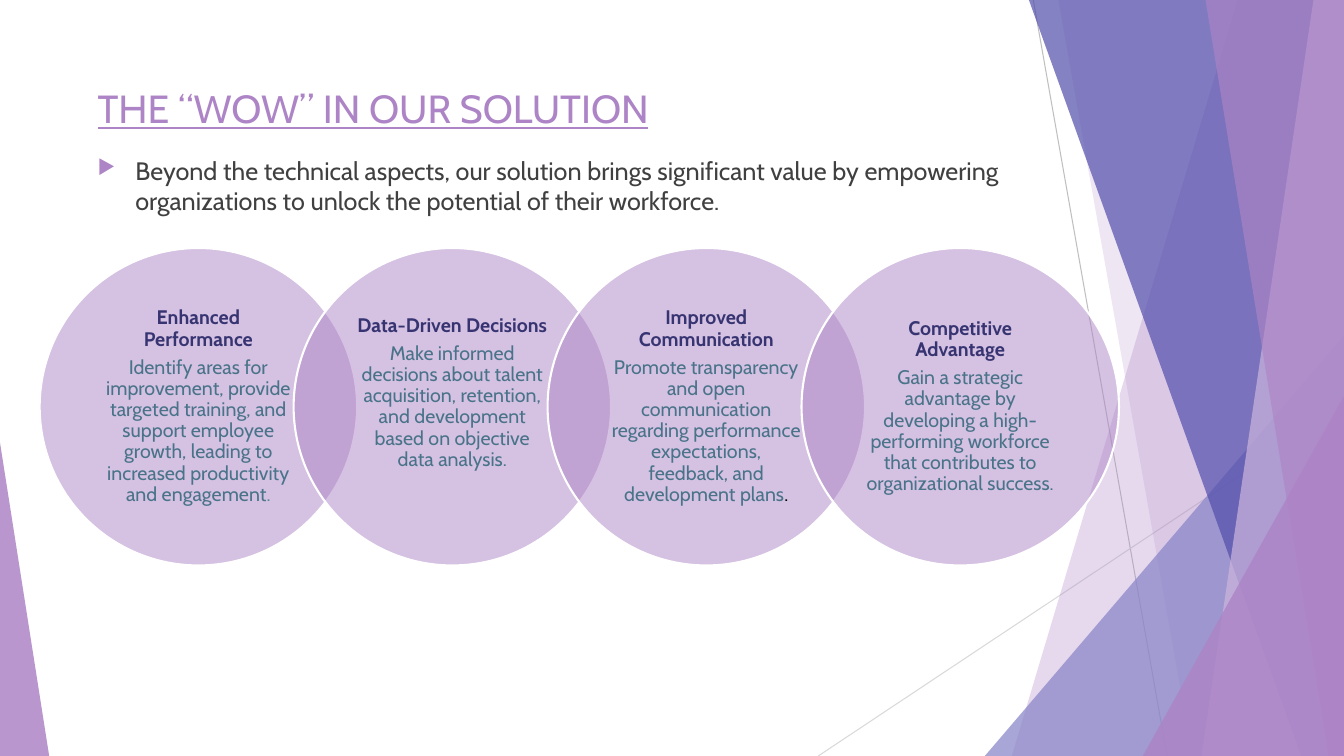
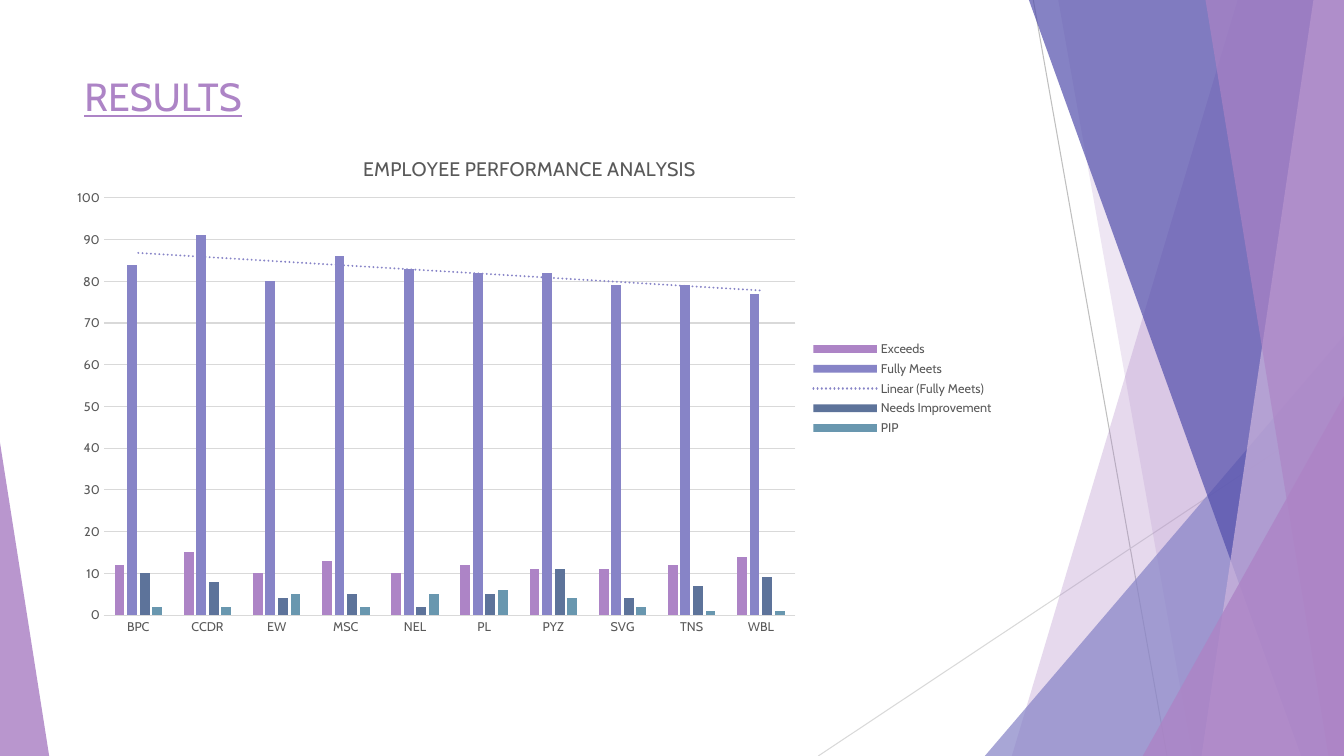
from dataclasses import dataclass

from lxml.etree import SubElement
from pptx import Presentation
from pptx.chart.data import CategoryChartData
from pptx.dml.color import RGBColor
from pptx.enum.chart import XL_CHART_TYPE, XL_LEGEND_POSITION, XL_TICK_MARK
from pptx.enum.shapes import MSO_CONNECTOR, MSO_SHAPE
from pptx.enum.text import MSO_ANCHOR, PP_ALIGN
from pptx.oxml import parse_xml
from pptx.oxml.ns import nsdecls, qn
from pptx.util import Cm, Pt


@dataclass(frozen=True)
class Theme:
    # Colours
    orchid: str = "AD84C6"
    lilac: str = "CEB5DD"
    periwinkle: str = "8784C7"
    indigo: str = "524EAB"
    slate: str = "5D739A"
    teal: str = "6997AF"
    heading: str = "373472"
    detail: str = "497389"
    soft_stop: str = "588894"
    black: str = "000000"
    body: str = "404040"
    label: str = "595959"
    grid: str = "D9D9D9"
    rule: str = "BFBFBF"
    white: str = "FFFFFF"
    # Type
    font: str = "Cabin"
    title_size: int = 28
    body_size: int = 18
    circle_size: int = 14
    chart_title_size: int = 14
    label_size: int = 9


THEME = Theme()
WIDTH, HEIGHT = 33.87, 19.05

# Background lines: start x, start y, end x, end y, colour
RULES = [(26.04, 0, 29.41, HEIGHT, THEME.rule),
         (WIDTH, 10.24, 20.62, HEIGHT, THEME.grid)]

# Background facets, back to front. A band gives its left edge at the top and
# at the bottom; a triangle gives left, top, width and the place of its apex.
FACETS = [("band", (31.19, 25.5), THEME.orchid, 30),
          ("band", (26.67, 30.05), THEME.orchid, 20),
          ("triangle", (24.82, 8.46, 9.05, 1), THEME.periwinkle, 72),
          ("band", (25.93, 32.79), THEME.indigo, 70),
          ("band", (33.1, 30.28), THEME.lilac, 70),
          ("band", (30.38, 33.48), THEME.orchid, 65),
          ("triangle", (28.8, 9.98, 5.07, 1), THEME.orchid, 80),
          ("triangle", (0, 11.15, 1.24, 0), THEME.orchid, 85)]

# Circles: heading, detail, final stop and its colour, bottom inset
BENEFITS = [
    ("Enhanced Performance",
     "Identify areas for improvement, provide targeted training, and support "
     "employee growth, leading to increased productivity and engagement",
     THEME.soft_stop, 0.05),
    ("Data-Driven Decisions",
     "Make informed decisions about talent acquisition, retention, and "
     "development based on objective data analysis",
     THEME.detail, 0.75),
    ("Improved Communication",
     "Promote transparency and open communication regarding performance "
     "expectations, feedback, and development plans",
     THEME.black, 0.05),
    ("Competitive Advantage",
     "Gain a strategic advantage by developing a high-performing workforce "
     "that contributes to organizational success",
     THEME.detail, 0.05),
]

CATEGORIES = ["BPC", "CCDR", "EW", "MSC", "NEL", "PL", "PYZ", "SVG", "TNS", "WBL"]
RATINGS = [
    ("Exceeds", [12, 15, 10, 13, 10, 12, 11, 11, 12, 14], THEME.orchid),
    ("Fully Meets", [84, 91, 80, 86, 83, 82, 82, 79, 79, 77], THEME.periwinkle),
    ("Needs Improvement", [10, 8, 4, 5, 2, 5, 11, 4, 7, 9], THEME.slate),
    ("PIP", [2, 2, 5, 2, 5, 6, 4, 2, 1, 1], THEME.teal),
]
TREND_SERIES = 1


def set_values(target, values):
    for name, value in values.items():
        setattr(target, name, value)


def style_font(font, size, color, **extra):
    set_values(font, {"name": THEME.font, "size": Pt(size), **extra})
    font.color.rgb = RGBColor.from_string(color)


def style_line(line, color, width=0.75):
    line.color.rgb = RGBColor.from_string(color)
    line.width = Pt(width)


def manual_layout(**shares):
    values = "".join(f'<c:{name} val="{value}"/>' for name, value in shares.items())
    target = '<c:layoutTarget val="inner"/>' if "w" in shares else ""
    return parse_xml(
        f'<c:layout {nsdecls("c")}><c:manualLayout>{target}<c:xMode val="edge"/>'
        f'<c:yMode val="edge"/>{values}</c:manualLayout></c:layout>')


class Slides:
    """Holds the deck, its style and the current page."""

    def __init__(self, theme):
        self.theme = theme
        self.deck = Presentation()
        set_values(self.deck, {"slide_width": Cm(WIDTH), "slide_height": Cm(HEIGHT)})
        self.page = None

    def new_page(self, title, left, top):
        self.page = self.deck.slides.add_slide(self.deck.slide_layouts[6])
        self.backdrop()
        para = self.text_box(left, top, 23.88, 1.6)
        self.span(para, title, self.theme.title_size, self.theme.orchid, underline=True)

    def backdrop(self):
        for start_x, start_y, end_x, end_y, color in RULES:
            self.rule(start_x, start_y, end_x, end_y, color)
        for kind, place, color, opacity in FACETS:
            shape = getattr(self, kind)(*place)
            self.paint(shape, color, opacity)

    def rule(self, start_x, start_y, end_x, end_y, color):
        line = self.page.shapes.add_connector(
            MSO_CONNECTOR.STRAIGHT, Cm(start_x), Cm(start_y), Cm(end_x), Cm(end_y))
        style_line(line.line, color)
        SubElement(line._element.spPr, qn("a:effectLst"))

    def band(self, top_x, bottom_x):
        outline = self.page.shapes.build_freeform(Cm(top_x), Cm(0))
        outline.add_line_segments([(Cm(WIDTH), Cm(0)), (Cm(WIDTH), Cm(HEIGHT)),
                                   (Cm(bottom_x), Cm(HEIGHT))])
        return outline.convert_to_shape()

    def triangle(self, left, top, width, apex):
        shape = self.page.shapes.add_shape(
            MSO_SHAPE.ISOSCELES_TRIANGLE, Cm(left), Cm(top), Cm(width), Cm(HEIGHT - top))
        shape.adjustments[0] = apex
        return shape

    def paint(self, shape, color, opacity):
        shape.shadow.inherit = False
        shape.line.fill.background()
        shape.fill.solid()
        shape.fill.fore_color.rgb = RGBColor.from_string(color)
        color_node = shape._element.spPr.find(".//" + qn("a:srgbClr"))
        SubElement(color_node, qn("a:alpha"), val=str(opacity * 1000))

    def text_box(self, left, top, width, height):
        box = self.page.shapes.add_textbox(Cm(left), Cm(top), Cm(width), Cm(height))
        box.text_frame.word_wrap = True
        return box.text_frame.paragraphs[0]

    def span(self, para, text, size, color, **extra):
        span = para.add_run()
        span.text = text
        style_font(span.font, size, color, **extra)

    def bullet(self, text, left, top, width, height):
        para = self.text_box(left, top, width, height)
        self.span(para, text, self.theme.body_size, self.theme.body)
        properties = para._p.get_or_add_pPr()
        properties.set("marL", str(Cm(0.95)))
        properties.set("indent", str(-Cm(0.95)))
        color = SubElement(properties, qn("a:buClr"))
        SubElement(color, qn("a:srgbClr"), val=self.theme.orchid)
        SubElement(properties, qn("a:buSzPct"), val="80000")
        SubElement(properties, qn("a:buChar"), char="▶")

    def circle(self, left, top, size, heading, detail, stop_color, bottom):
        theme = self.theme
        shape = self.page.shapes.add_shape(
            MSO_SHAPE.OVAL, Cm(left), Cm(top), Cm(size), Cm(size))
        self.paint(shape, theme.orchid, 50)
        style_line(shape.line, theme.white, 1.5)
        frame = shape.text_frame
        set_values(frame, {
            "word_wrap": True, "vertical_anchor": MSO_ANCHOR.MIDDLE,
            "margin_left": Cm(0.42), "margin_right": Cm(0.42),
            "margin_top": Cm(0.05), "margin_bottom": Cm(bottom)})
        head, text = frame.paragraphs[0], frame.add_paragraph()
        for para in (head, text):
            set_values(para, {"alignment": PP_ALIGN.CENTER, "line_spacing": 0.9,
                              "space_after": Pt(5)})
        self.span(head, heading, theme.circle_size, theme.heading, bold=True)
        self.span(text, detail, theme.circle_size, theme.detail)
        self.span(text, ".", theme.circle_size, stop_color)

    def column_chart(self, title, left, top, width, height):
        theme = self.theme
        data = CategoryChartData()
        data.categories = CATEGORIES
        for name, values, _ in RATINGS:
            data.add_series(name, values)
        chart = self.page.shapes.add_chart(
            XL_CHART_TYPE.COLUMN_CLUSTERED, Cm(left), Cm(top), Cm(width), Cm(height),
            data).chart
        style_font(chart.font, theme.label_size, theme.label)

        # Title and plot area
        para = chart.chart_title.text_frame.paragraphs[0]
        self.span(para, title, theme.chart_title_size, theme.label, bold=False)
        heading = chart.chart_title._element
        area = chart._chartSpace.chart.plotArea
        for parent, layout in ((heading, manual_layout(x=0.32, y=0.04)),
                               (area, manual_layout(x=0.05, y=0.13, w=0.73, h=0.81))):
            for old in parent.findall(qn("c:layout")):
                parent.remove(old)
            parent.insert(1 if parent is heading else 0, layout)

        # Legend
        chart.has_legend = True
        set_values(chart.legend, {"position": XL_LEGEND_POSITION.RIGHT,
                                  "include_in_layout": False})
        style_font(chart.legend.font, theme.label_size, theme.label)

        # Axes
        for axis in (chart.category_axis, chart.value_axis):
            set_values(axis, {"major_tick_mark": XL_TICK_MARK.NONE,
                              "minor_tick_mark": XL_TICK_MARK.NONE})
            style_font(axis.tick_labels.font, theme.label_size, theme.label)
        style_line(chart.category_axis.format.line, theme.grid)
        set_values(chart.value_axis, {"minimum_scale": 0, "maximum_scale": 100,
                                      "major_unit": 10})
        chart.value_axis.format.line.fill.background()
        style_line(chart.value_axis.major_gridlines.format.line, theme.grid)

        # Series
        plot = chart.plots[0]
        set_values(plot, {"gap_width": 219, "overlap": -27, "vary_by_categories": False})
        for series, (_, _, color) in zip(plot.series, RATINGS):
            series.format.fill.solid()
            series.format.fill.fore_color.rgb = RGBColor.from_string(color)
        self.trend_line(plot.series[TREND_SERIES], RATINGS[TREND_SERIES][2])

    def trend_line(self, series, color):
        trend = parse_xml(
            f'<c:trendline {nsdecls("c", "a")}><c:spPr><a:ln w="{Pt(1.5)}" cap="rnd">'
            f'<a:solidFill><a:srgbClr val="{color}"/></a:solidFill>'
            '<a:prstDash val="sysDot"/></a:ln></c:spPr><c:trendlineType val="linear"/>'
            '<c:dispRSqr val="0"/><c:dispEq val="0"/></c:trendline>')
        series._element.find(qn("c:cat")).addprevious(trend)


def main():
    slides = Slides(THEME)

    # Benefits
    slides.new_page("THE “WOW” IN OUR SOLUTION", 2.21, 2.01)
    slides.bullet("Beyond the technical aspects, our solution brings significant value by "
                  "empowering organizations to unlock the potential of their workforce.",
                  2.21, 3.78, 23.88, 2.2)
    size = 8
    for index, benefit in enumerate(BENEFITS):
        slides.circle(1 + index * size * 0.8, 6.25, size, *benefit)

    # Results
    slides.new_page("RESULTS", 1.88, 1.7)
    slides.column_chart("EMPLOYEE PERFORMANCE ANALYSIS", 1.42, 3.3, 23.88, 12.98)

    slides.deck.save("out.pptx")


if __name__ == "__main__":
    main()
